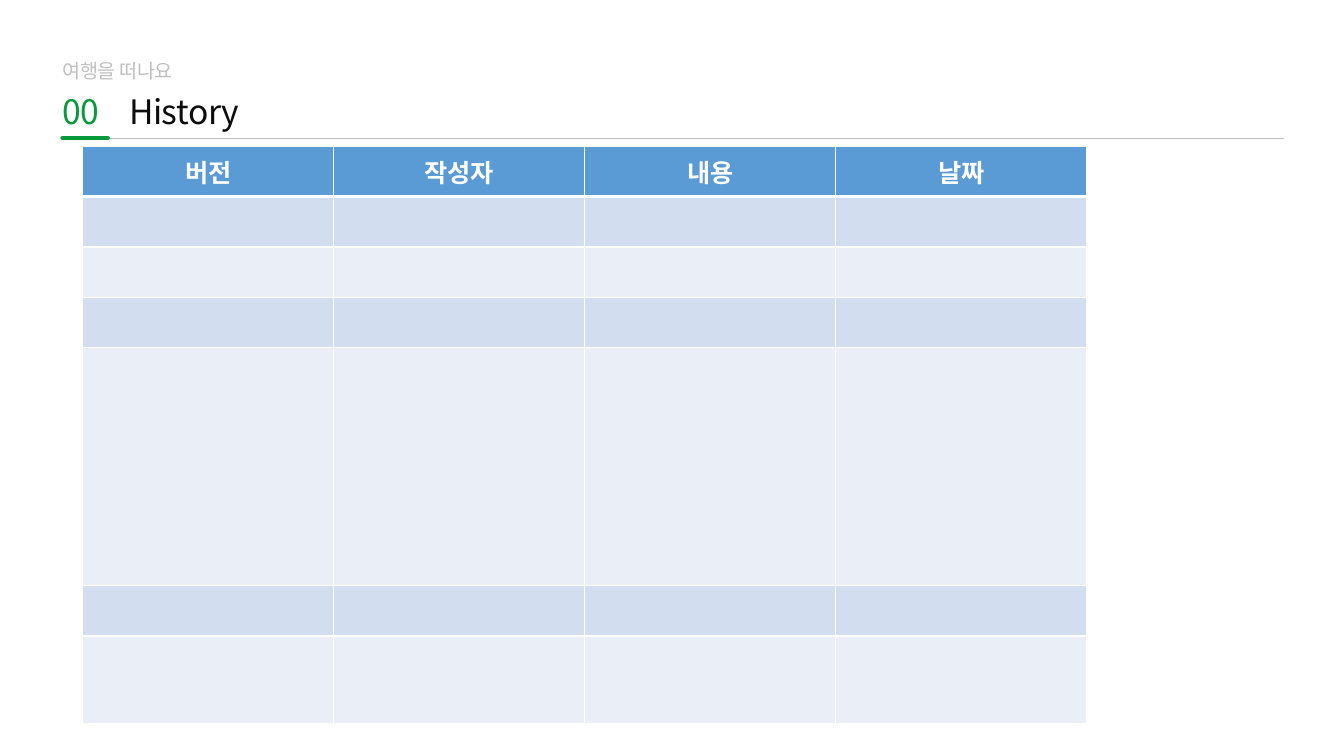
from lxml import etree
from pptx import Presentation
from pptx.dml.color import RGBColor
from pptx.enum.shapes import MSO_CONNECTOR
from pptx.enum.text import MSO_ANCHOR, MSO_AUTO_SIZE, PP_ALIGN
from pptx.oxml.ns import qn
from pptx.util import Inches, Pt

STRAIGHT = MSO_CONNECTOR.STRAIGHT
TOP, MIDDLE, BOTTOM = MSO_ANCHOR.TOP, MSO_ANCHOR.MIDDLE, MSO_ANCHOR.BOTTOM
LEFT, CENTER = PP_ALIGN.LEFT, PP_ALIGN.CENTER
FIT_SHAPE = MSO_AUTO_SIZE.SHAPE_TO_FIT_TEXT

GREEN = RGBColor(0x06, 0x9A, 0x3A)
GRAY = RGBColor(0xBF, 0xBF, 0xBF)
BLACK = RGBColor(0x0D, 0x0D, 0x0D)
WHITE = RGBColor(0xFF, 0xFF, 0xFF)
HEADER_BLUE = RGBColor(0x5B, 0x9B, 0xD5)
BAND_DARK = RGBColor(0xD2, 0xDE, 0xEF)
BAND_LIGHT = RGBColor(0xEA, 0xEF, 0xF7)
KOREAN_FONT = "Noto Sans CJK KR"


def write_text(text_frame, text, size, color, font=KOREAN_FONT, bold=False,
               align=LEFT, spacing=0):
    """Put one formatted run in the frame; spacing is in points."""
    paragraph = text_frame.paragraphs[0]
    paragraph.alignment = align
    run = paragraph.add_run()
    run.text = text
    run.font.size = Pt(size)
    run.font.bold = bold
    run.font.color.rgb = color
    run.font.name = font
    properties = run.font._element
    properties.set("spc", str(round(spacing * 100)))
    etree.SubElement(properties, qn("a:ea"), typeface=KOREAN_FONT)


def add_border(cell, side, width):
    line = etree.SubElement(cell._tc.get_or_add_tcPr(), qn(f"a:ln{side}"),
                            w=str(Pt(width)))
    fill = etree.SubElement(line, qn("a:solidFill"))
    etree.SubElement(fill, qn("a:srgbClr"), val=str(WHITE))


presentation = Presentation()
presentation.slide_width = Inches(13.33)
presentation.slide_height = Inches(7.5)
slide = presentation.slides.add_slide(presentation.slide_layouts[6])

# Heading
headings = [
    ("History", 1.28, 0.9, 1.15, 0.4, 24, BLACK, TOP),
    ("여행을 떠나요", 0.62, 0.58, 1.21, 0.24, 14, GRAY, BOTTOM),
    ("00", 0.62, 0.9, 0.46, 0.4, 24, GREEN, TOP),
]
for text, left, top, width, height, size, color, anchor in headings:
    box = slide.shapes.add_textbox(Inches(left), Inches(top), Inches(width), Inches(height))
    frame = box.text_frame
    frame.margin_left = frame.margin_right = frame.margin_top = frame.margin_bottom = 0
    frame.word_wrap = False
    frame.auto_size = FIT_SHAPE
    frame.vertical_anchor = anchor
    write_text(frame, text, size, color, spacing=-0.3)

# Rule under the heading
for start, end, color, width, cap in [(1.07, 12.73, GRAY, 0.5, "flat"),
                                      (0.62, 1.07, GREEN, 3, "rnd")]:
    rule = slide.shapes.add_connector(STRAIGHT, Inches(start), Inches(1.37),
                                      Inches(end), Inches(1.37))
    rule.line.color.rgb = color
    rule.line.width = Pt(width)
    rule.line._ln.set("cap", cap)
    etree.SubElement(rule._element.spPr, qn("a:effectLst"))

# Version history table
headers = [("버전", "Calibri"), ("작성자", KOREAN_FONT),
           ("내용", KOREAN_FONT), ("날짜", KOREAN_FONT)]
row_heights = [0.5, 0.5, 0.5, 0.5, 2.36, 0.5, 0.87]
table = slide.shapes.add_table(len(row_heights), len(headers), Inches(0.82), Inches(1.45),
                               Inches(9.97), Inches(sum(row_heights))).table
for column in table.columns:
    column.width = Inches(2.49)

for row_index, height in enumerate(row_heights):
    table.rows[row_index].height = Inches(height)
    if row_index == 0:
        row_color = HEADER_BLUE
    else:
        row_color = BAND_DARK if row_index % 2 else BAND_LIGHT
    for cell in table.rows[row_index].cells:
        add_border(cell, "L", 1)
        add_border(cell, "R", 1)
        add_border(cell, "T", 3 if row_index == 1 else 1)
        add_border(cell, "B", 3 if row_index == 0 else 1)
        cell.fill.solid()
        cell.fill.fore_color.rgb = row_color

for cell, (text, font) in zip(table.rows[0].cells, headers):
    cell.vertical_anchor = MIDDLE
    write_text(cell.text_frame, text, 18, WHITE, font=font, bold=True, align=CENTER)

presentation.save("out.pptx")
